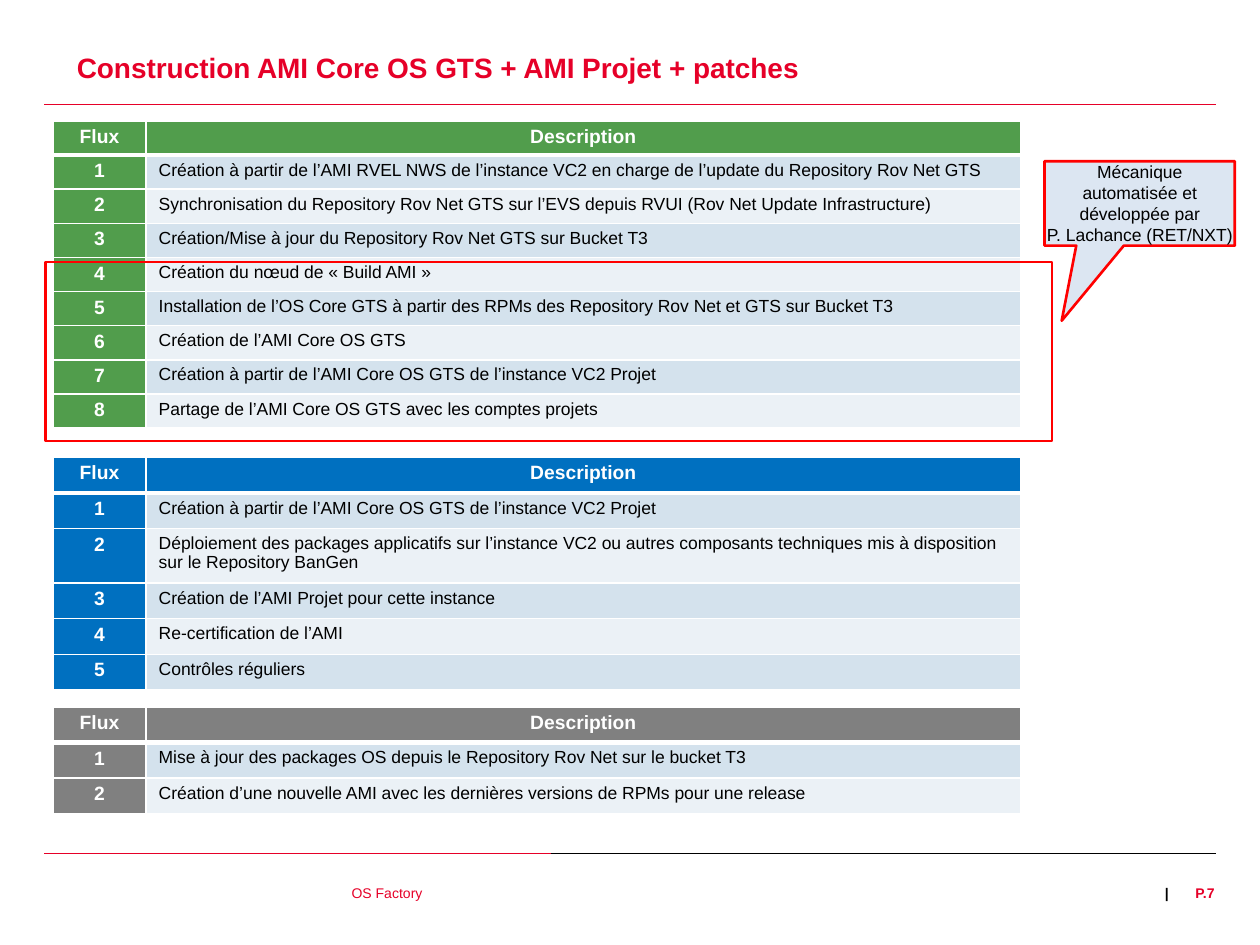
"""Build the slide on the flows that make and patch the AMI images."""
import math
from dataclasses import dataclass

import pptx
import pptx.dml.color
import pptx.enum.shapes
import pptx.enum.text
import pptx.oxml
import pptx.oxml.ns
import pptx.util

ALIGN = pptx.enum.text.PP_ALIGN
ANCHOR = pptx.enum.text.MSO_ANCHOR
SHAPE = pptx.enum.shapes.MSO_SHAPE


@dataclass(frozen=True)
class Theme:
    font: str = "Arial"
    red: str = "E60028"
    alert: str = "FF0000"
    black: str = "000000"
    white: str = "FFFFFF"
    pale: str = "DCE6F2"
    bands: tuple = ("D4E2ED", "EBF1F6")
    title: float = 16
    head: float = 11
    body: float = 10
    foot: float = 8


@dataclass(frozen=True)
class Flow:
    top: float
    row: float
    color: str
    steps: tuple


THEME = Theme()
COLS, ROWS = 100, 75
LEFT, WIDTHS = 4.2, (7.4, 69.4)
FULL = 105

FLOWS = (
    Flow(9.6, 2.71, "519D4C", (
        "Création à partir de l’AMI RVEL NWS de l’instance VC2 en charge de l’update du Repository Rov Net GTS",
        "Synchronisation du Repository Rov Net GTS sur l’EVS depuis RVUI (Rov Net Update Infrastructure)",
        "Création/Mise à jour du Repository Rov Net GTS sur Bucket T3",
        "Création du nœud de « Build AMI »",
        "Installation de l’OS Core GTS à partir des RPMs des Repository Rov Net et GTS sur Bucket T3",
        "Création de l’AMI Core OS GTS",
        "Création à partir de l’AMI Core OS GTS de l’instance VC2 Projet",
        "Partage de l’AMI Core OS GTS avec les comptes projets",
    )),
    Flow(36.3, 2.83, "0070C0", (
        "Création à partir de l’AMI Core OS GTS de l’instance VC2 Projet",
        "Déploiement des packages applicatifs sur l’instance VC2 ou autres composants techniques "
        "mis à disposition sur le Repository BanGen",
        "Création de l’AMI Projet pour cette instance",
        "Re-certification de l’AMI",
        "Contrôles réguliers",
    )),
    Flow(56.1, 2.83, "808080", (
        "Mise à jour des packages OS depuis le Repository Rov Net sur le bucket T3",
        "Création d’une nouvelle AMI avec les dernières versions de RPMs pour une release",
    )),
)

deck = pptx.Presentation()
deck.slide_width = pptx.util.Inches(10)
deck.slide_height = pptx.util.Inches(7.5)
slide = deck.slides.add_slide(deck.slide_layouts[5])


def across(cols: float) -> int:
    return round(deck.slide_width * cols / COLS)


def down(rows: float) -> int:
    return round(deck.slide_height * rows / ROWS)


def area(x: float, y: float, w: float, h: float) -> tuple:
    return across(x), down(y), across(w), down(h)


def rgb(code: str) -> pptx.dml.color.RGBColor:
    return pptx.dml.color.RGBColor.from_string(code)


def write(frame, text: str, *, size: float, color: str = THEME.black, bold: bool = False,
          align=ALIGN.LEFT, space: float = 1.0) -> None:
    frame.text = text
    for para in frame.paragraphs:
        para.alignment = align
        para.line_spacing = space
        for run in para.runs:
            font = run.font
            font.name, font.size, font.bold = THEME.font, pptx.util.Pt(size), bold
            font.color.rgb = rgb(color)


def strip(frame, anchor=ANCHOR.TOP, wrap: bool = True) -> None:
    frame.margin_left = frame.margin_right = frame.margin_top = frame.margin_bottom = 0
    frame.vertical_anchor = anchor
    frame.word_wrap = wrap
    frame.auto_size = pptx.enum.text.MSO_AUTO_SIZE.NONE


def label(spot: tuple, text: str, wrap: bool = True, **style) -> None:
    frame = slide.shapes.add_textbox(*area(*spot)).text_frame
    strip(frame, wrap=wrap)
    write(frame, text, size=THEME.foot, **style)


def rule(start: float, end: float, y: float, color: str) -> None:
    line = slide.shapes.add_connector(pptx.enum.shapes.MSO_CONNECTOR.STRAIGHT,
                                      across(start), down(y), across(end), down(y))
    line.line.color.rgb = rgb(color)
    line.line.width = pptx.util.Pt(0.5)
    props = line._element.spPr
    props.append(props.makeelement(pptx.oxml.ns.qn("a:effectLst"), {}))


def frame_in(kind, spot: tuple):
    shape = slide.shapes.add_shape(kind, *area(*spot))
    shape.shadow.inherit = False
    shape.fill.background()
    shape.line.color.rgb = rgb(THEME.alert)
    shape.line.width = pptx.util.Pt(1.5)
    return shape


def paint(cell, fill: str, head: bool) -> None:
    props = cell._tc.get_or_add_tcPr()
    for side in "LRTB":
        width = pptx.util.Pt(3 if head and side == "B" else 1)
        props.append(pptx.oxml.parse_xml(
            f'<a:ln{side} {pptx.oxml.ns.nsdecls("a")} w="{width}"><a:solidFill>'
            f'<a:srgbClr val="{THEME.white}"/></a:solidFill></a:ln{side}>'))
    cell.fill.solid()
    cell.fill.fore_color.rgb = rgb(fill)


def draw(flow: Flow) -> None:
    lines = [("Flux", "Description")]
    lines += [(str(num), step) for num, step in enumerate(flow.steps, 1)]
    highs = [flow.row + 1.5 * (math.ceil(len(step) / FULL) - 1) for _, step in lines]
    spot = area(LEFT, flow.top, sum(WIDTHS), sum(highs))
    table = slide.shapes.add_table(len(lines), len(WIDTHS), *spot).table
    table.horz_banding = False
    for col, width in zip(table.columns, WIDTHS):
        col.width = across(width)
    for i, (line, high) in enumerate(zip(lines, highs)):
        table.rows[i].height = down(high)
        for j, text in enumerate(line):
            cell, key = table.cell(i, j), i == 0 or j == 0
            paint(cell, flow.color if key else THEME.bands[(i - 1) % 2], i == 0)
            write(cell.text_frame, text, bold=key, space=0.95,
                  size=THEME.head if key else THEME.body,
                  color=THEME.white if key else THEME.black,
                  align=ALIGN.CENTER if key else ALIGN.LEFT)


def main() -> None:
    title = slide.shapes.title
    title.left, title.top, title.width, title.height = area(6.1, 2.8, 85.6, 5.5)
    strip(title.text_frame, ANCHOR.MIDDLE)
    write(title.text_frame, "Construction AMI Core OS GTS + AMI Projet + patches",
          size=THEME.title, color=THEME.red, bold=True, space=0.9)

    rule(3.5, 96.5, 8.3, THEME.red)
    rule(3.5, 43.7, 67.7, THEME.red)
    rule(43.7, 96.5, 67.7, THEME.black)
    label((92.2, 70.2, 0.8, 4.8), "|", wrap=False, bold=True, align=ALIGN.CENTER)
    label((92.5, 70.2, 3.9, 4.8), "P.7", color=THEME.red, bold=True, align=ALIGN.RIGHT)
    label((27.9, 70.2, 43.3, 4.8), "OS Factory", color=THEME.red)

    for flow in FLOWS:
        draw(flow)

    frame_in(SHAPE.RECTANGLE, (3.6, 20.8, 79.9, 14.2))
    note = frame_in(SHAPE.RECTANGULAR_CALLOUT, (82.9, 12.8, 15.1, 6.7))
    note.adjustments[0], note.adjustments[1] = -0.41, 1.39
    note.fill.solid()
    note.fill.fore_color.rgb = rgb(THEME.pale)
    strip(note.text_frame, ANCHOR.MIDDLE, wrap=False)
    write(note.text_frame, "Mécanique\nautomatisée et\ndéveloppée par\nP. Lachance (RET/NXT)",
          size=THEME.body, align=ALIGN.CENTER)
    deck.save("out.pptx")


if __name__ == "__main__":
    main()
